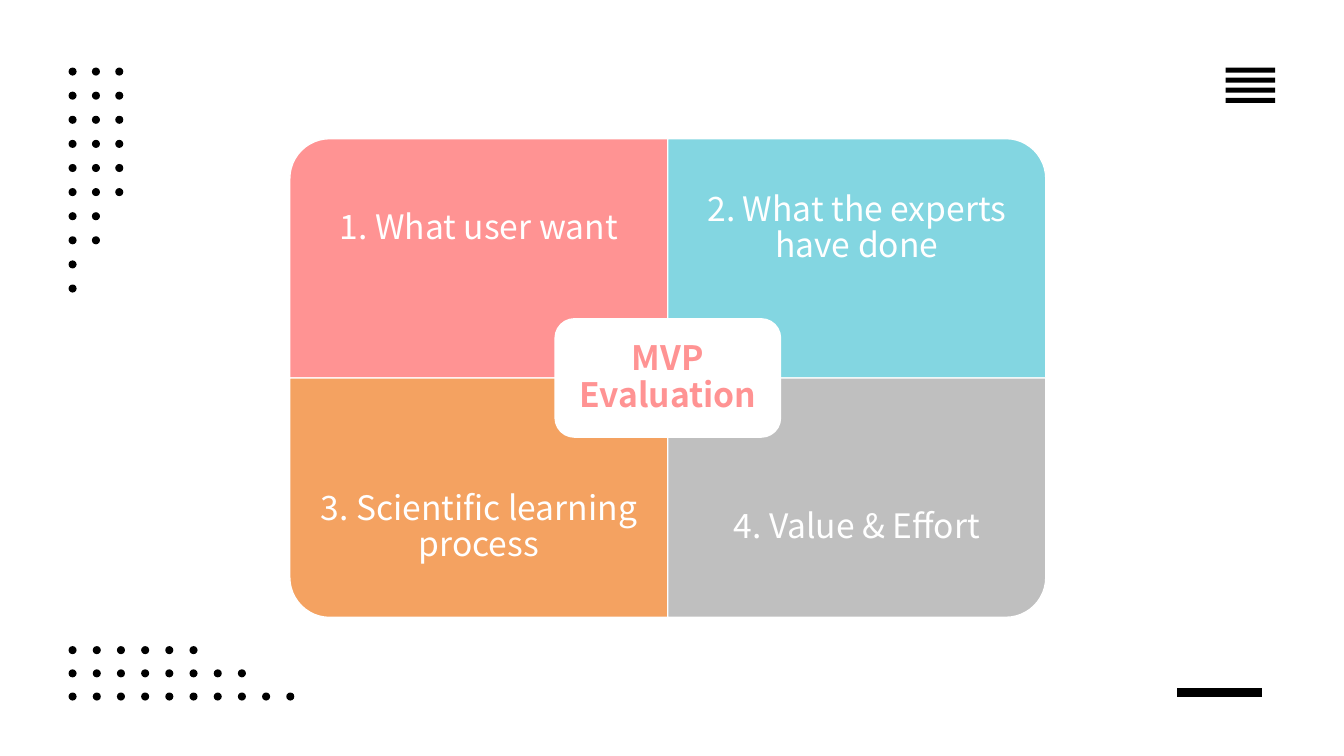
from pptx import Presentation
from pptx import util as u
from pptx.dml.color import RGBColor
from pptx.enum import shapes, text
from lxml import etree

COLORS = {
    "ink": "000000",
    "white": "FFFFFF",
    "pink": "FF9393",
    "aqua": "83D6E1",
    "orange": "F4A261",
    "grey": "BFBFBF",
}
FONT = "Noto Sans CJK SC"
COLS, ROWS = 160, 90
DOT = 0.96
KIND = shapes.MSO_SHAPE


class Board:
    def __init__(self, prs):
        self.cell_w = prs.slide_width / COLS
        self.cell_h = prs.slide_height / ROWS
        self.s = prs.slides.add_slide(prs.slide_layouts[6])
        self.s.background.fill.solid()
        self.s.background.fill.fore_color.rgb = self.color("white")
        self.target = self.s.shapes

    def color(self, name):
        return RGBColor.from_string(COLORS[name])

    def box(self, col, row, cols, rows):
        return (round(col * self.cell_w), round(row * self.cell_h),
                round(cols * self.cell_w), round(rows * self.cell_h))

    def group(self):
        self.target = self.s.shapes.add_group_shape().shapes

    def shape(self, kind, col, row, cols, rows, fill, line=None, turn=0):
        if turn in (90, 270):
            col, row = col + (cols - rows) / 2, row + (rows - cols) / 2
            cols, rows = rows, cols
        sp = self.target.add_shape(kind, *self.box(col, row, cols, rows))
        sp.rotation = turn
        sp.shadow.inherit = False
        sp.fill.solid()
        sp.fill.fore_color.rgb = self.color(fill)
        if line:
            sp.line.color.rgb = self.color(line)
            sp.line.width = u.Pt(1)
        else:
            sp.line.fill.background()

    def dots(self, col, row, col_step, row_step, counts):
        self.group()
        for j, count in enumerate(counts):
            for i in range(count):
                self.shape(KIND.OVAL, col + i * col_step, row + j * row_step,
                           DOT, DOT, "ink")

    def label(self, words, col, row, cols, rows, color, inset, bold=False):
        sp = self.target.add_textbox(*self.box(col, row, cols, rows))
        tf = sp.text_frame
        tf.word_wrap = True
        tf.vertical_anchor = text.MSO_ANCHOR.MIDDLE
        tf.margin_left = tf.margin_right = round(inset * self.cell_w)
        tf.margin_top = tf.margin_bottom = round(inset * self.cell_h)
        p = tf.paragraphs[0]
        p.text = words
        p.alignment = text.PP_ALIGN.CENTER
        p.line_spacing = 0.9
        p.font.name = FONT
        p.font.size = u.Pt(24)
        p.font.bold = bold
        p.font.color.rgb = self.color(color)

    def rule(self, col, row, cols, width):
        x, y, w, h = self.box(col, row, cols, 0)
        line = self.s.shapes.add_connector(
            shapes.MSO_CONNECTOR.STRAIGHT, x, y, x + w, y + h)
        line.line.color.rgb = self.color("ink")
        line.line.width = u.Pt(width)
        props = line.line._get_or_add_ln().getparent()
        ns = etree.QName(props[0]).namespace
        etree.SubElement(props, f"{{{ns}}}effectLst")


def main():
    prs = Presentation()
    prs.slide_width, prs.slide_height = u.Inches(13.333), u.Inches(7.5)
    board = Board(prs)

    board.dots(8.16, 8.04, 2.78, 2.87, [3] * 6 + [2] * 2 + [1] * 2)
    board.dots(8.16, 76.92, 2.88, 2.76, [6, 8, 10])

    board.group()
    for i in range(4):
        board.shape(KIND.RECTANGLE, 145.92, 8.04 + 1.2 * i, 5.88, 0.6, "ink")
    board.rule(140.16, 82.44, 10.08, 6)

    mid_col, mid_row = 79.5, 45
    tile_w, tile_h, text_h = 45, 28.5, 21.4
    tiles = [
        ("1. What user want", "pink", 270),
        ("2. What the experts have done", "aqua", 0),
        ("3. Scientific learning process", "orange", 180),
        ("4. Value & Effort", "grey", 90),
    ]
    board.group()
    for i, (words, fill, turn) in enumerate(tiles):
        across, down = i % 2, i // 2
        col = mid_col + (across - 1) * tile_w
        row = mid_row + (down - 1) * tile_h
        board.shape(KIND.ROUND_1_RECTANGLE, col, row, tile_w, tile_h,
                    fill, "white", turn)
        board.label(words, col, row + down * (tile_h - text_h),
                    tile_w, text_h, "white", 2.28)

    hub_w, hub_h, pad = tile_w * 0.6, tile_h / 2, 0.7
    col, row = mid_col - hub_w / 2, mid_row - hub_h / 2
    board.shape(KIND.ROUNDED_RECTANGLE, col, row, hub_w, hub_h, "white")
    board.label("MVP Evaluation", col + pad, row + pad, hub_w - 2 * pad,
                hub_h - 2 * pad, "pink", 1.2, bold=True)

    prs.save("out.pptx")


if __name__ == "__main__":
    main()
